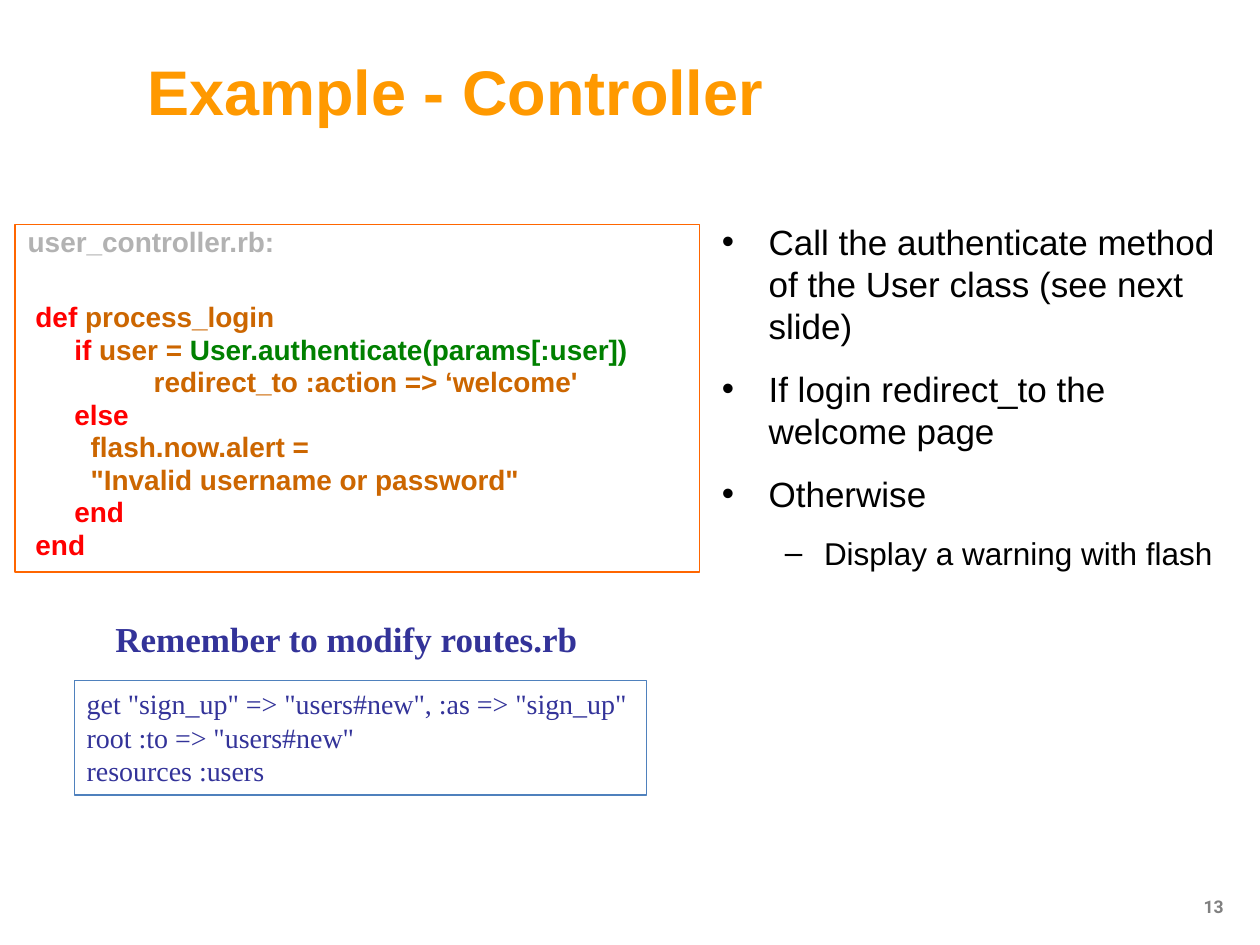
from lxml import etree
from pptx import Presentation
from pptx.dml.color import RGBColor
from pptx.enum.text import MSO_ANCHOR, MSO_AUTO_SIZE, PP_ALIGN
from pptx.oxml.ns import qn
from pptx.util import Inches, Pt

LEFT, CENTER, RIGHT = PP_ALIGN.LEFT, PP_ALIGN.CENTER, PP_ALIGN.RIGHT
TOP, MIDDLE = MSO_ANCHOR.TOP, MSO_ANCHOR.MIDDLE
NO_FIT = MSO_AUTO_SIZE.NONE
WIDE, HIGH = 10, 7.5

HUES = {
    "title": "FF9900", "frame": "FF6600", "file": "B2B2B2",
    "code": "CC6600", "key": "FF0000", "call": "008000",
    "text": "000000", "note": "333399", "edge": "4F81BD", "page": "808080",
}

# Code lines as (text, colour) runs
CODE = [
    [("user_controller.rb:", "file")],
    [(" ", "code"), ("def ", "key"), ("process_login", "code")],
    [("      ", "code"), ("if", "key"), (" user = ", "code"),
     ("User.authenticate(params[:user])", "call")],
    [("          \tredirect_to :action => ‘welcome'", "code")],
    [("      ", "code"), ("else", "key")],
    [("      \tflash.now.alert =", "code")],
    [("\t\"Invalid username or password\"", "code")],
    [("      ", "code"), ("end", "key")],
    [(" ", "code"), ("end", "key")],
]
# Points as (level, text)
POINTS = [
    (0, "Call the authenticate method of the User class (see next slide)"),
    (0, "If login redirect_to the welcome page"),
    (0, "Otherwise"),
    (1, "Display a warning with flash"),
]
# Per level: bullet, indent, hang, size, gap
LEVELS = [("•", 0.37, 0.37, 20, 6), ("–", 0.81, 0.31, 18, 5)]
ROUTES = [
    'get "sign_up" => "users#new", :as => "sign_up"',
    'root :to => "users#new"',
    "resources :users",
]


def hue(name):
    return RGBColor.from_string(HUES[name])


def apply(thing, **vals):
    for key, val in vals.items():
        setattr(thing, key, val)


def place(shape, left, top, width, height):
    apply(shape, left=Inches(left), top=Inches(top),
          width=Inches(width), height=Inches(height))


def frame(shape, anchor=TOP, wrap=True):
    apply(shape.text_frame, word_wrap=wrap, auto_size=NO_FIT,
          vertical_anchor=anchor)
    return shape.text_frame


def edge(shape, name):
    shape.line.color.rgb = hue(name)
    shape.line.width = Pt(0.75)


def paras(body, items):
    for num, item in enumerate(items):
        yield num, body.add_paragraph() if num else body.paragraphs[0], item


def write(para, text, name, size, face="Arial", bold=False):
    run = para.add_run()
    run.text = text
    apply(run.font, name=face, size=Pt(size), bold=bold)
    run.font.color.rgb = hue(name)


def bullet(para, mark, indent=0, hang=0):
    props = para._p.get_or_add_pPr()
    props.set("marL", str(Inches(indent)))
    props.set("indent", str(-Inches(hang)))
    if mark:
        tint = etree.SubElement(props, qn("a:buClr"))
        etree.SubElement(tint, qn("a:srgbClr"), val=HUES["text"])
        etree.SubElement(props, qn("a:buFont"), typeface="Arial")
        etree.SubElement(props, qn("a:buChar"), char=mark)
    else:
        etree.SubElement(props, qn("a:buNone"))
        tabs = etree.SubElement(props, qn("a:tabLst"))
        etree.SubElement(tabs, qn("a:tab"), pos=str(Inches(1)), algn="l")


def add_title(shape):
    place(shape, 1.07, 0.29, 8.5, 0.86)
    para = frame(shape, MIDDLE).paragraphs[0]
    para.alignment = LEFT
    write(para, "Example - Controller", "title", 36, bold=True)


def add_code(shape):
    place(shape, 0.12, 1.78, 5.43, 2.76)
    edge(shape, "frame")
    for num, para, runs in paras(frame(shape), CODE):
        bullet(para, None)
        # The file name stands apart from the code below it
        before = {0: 0, 1: 22}.get(num, 3.2)
        apply(para, line_spacing=0.8, space_before=Pt(before),
              space_after=Pt(0 if num else 6))
        for text, name in runs:
            write(para, text, name, 16, bold=True)


def add_points(shape):
    place(shape, 5.63, 1.7, 4.37, 4.65)
    for num, para, (level, text) in paras(frame(shape), POINTS):
        mark, indent, hang, size, gap = LEVELS[level]
        bullet(para, mark, indent, hang)
        apply(para, level=level, space_before=Pt(gap if num else 0),
              space_after=Pt(gap))
        write(para, text, "text", size)


def add_text(slide, box, lines, name, size, face, bold=False,
             align=LEFT, wrap=True):
    shape = slide.shapes.add_textbox(0, 0, 0, 0)
    place(shape, *box)
    for _, para, text in paras(frame(shape, wrap=wrap), lines):
        para.alignment = align
        write(para, text, name, size, face, bold)
    return shape


def main():
    deck = Presentation()
    apply(deck, slide_width=Inches(WIDE), slide_height=Inches(HIGH))
    slide = deck.slides.add_slide(deck.slide_layouts[3])
    title, left, right = slide.placeholders

    # Title, code and points
    add_title(title)
    add_code(left)
    add_points(right)

    # Note on routes
    serif = "Times New Roman"
    add_text(slide, (0.35, 4.85, 4.8, 0.44), ["Remember to modify routes.rb"],
             "note", 20, serif, True, CENTER)
    routes = add_text(slide, (0.59, 5.4, 4.54, 0.91), ROUTES,
                      "note", 16, serif, wrap=False)
    edge(routes, "edge")

    # Page number
    add_text(slide, (9.1, 7.06, 0.71, 0.28), ["13"], "page", 10, "Roboto",
             True, RIGHT)
    deck.save("out.pptx")


if __name__ == "__main__":
    main()
